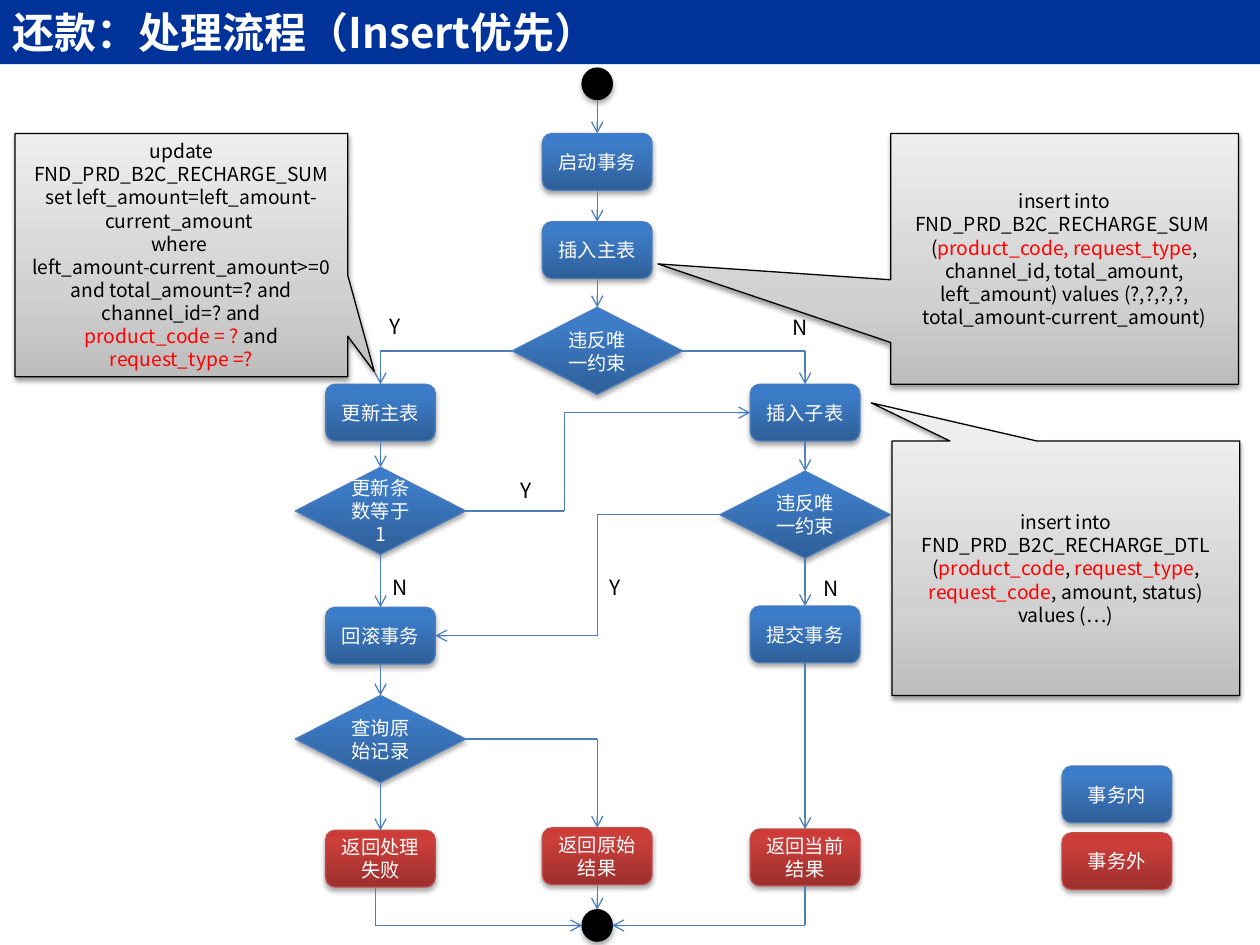
from copy import deepcopy
from dataclasses import dataclass

from lxml import etree
from pptx import Presentation
from pptx.dml.color import RGBColor
from pptx.enum import shapes, text
from pptx.oxml import ns
from pptx.util import Inches, Pt


@dataclass(frozen=True)
class Theme:
    font: str = "Noto Sans CJK SC"
    title_size: int = 24
    label_size: int = 12
    body_size: int = 11
    line_width: float = 0.75
    banner: str = "003399"
    white: str = "FFFFFF"
    black: str = "000000"
    red: str = "FF0000"
    line: str = "4B7EBC"
    red_line: str = "BF4C48"
    inside: tuple = ((0, "2F5F99"), (80, "3D7CC7"), (100, "3A7CCB"))
    outside: tuple = ((0, "9C2F2D"), (80, "CB3E3A"), (100, "CE3B37"))
    note: tuple = ((0, "BDBDBD"), (35, "D1D1D1"), (100, "EEEEEE"))


@dataclass(frozen=True)
class Box:
    left: float
    top: float
    width: float
    height: float

    def inside(self, left, top, width, height):
        return Box(self.left + left, self.top + top, width, height)

    @property
    def emu(self):
        return [Inches(v) for v in (self.left, self.top, self.width, self.height)]

    @property
    def right(self):
        return self.left + self.width

    @property
    def bottom(self):
        return self.top + self.height

    @property
    def center(self):
        return self.left + self.width / 2

    @property
    def middle(self):
        return self.top + self.height / 2


THEME = Theme()
KIND = shapes.MSO_SHAPE


def rgb(color):
    return RGBColor.from_string(color)


def format_run(run, size, color, bold=False):
    run.font.size, run.font.bold, run.font.name = Pt(size), bold, THEME.font
    run.font.color.rgb = rgb(color)
    east_asian = etree.SubElement(run.font._element, ns.qn("a:ea"))
    east_asian.set("typeface", THEME.font)


def fill_gradient(shape, stops):
    shape.fill.gradient()
    shape.fill.gradient_angle = 90
    stop_list = shape._element.spPr.find(".//" + ns.qn("a:gsLst"))
    stop_list.insert(1, deepcopy(stop_list[0]))
    for stop, (position, color) in zip(shape.fill.gradient_stops, stops):
        stop.position = position / 100
        stop.color.rgb = rgb(color)
    for color in stop_list.iter(ns.qn("a:srgbClr")):
        for change in list(color):
            color.remove(change)


def add_shadow(shape, opacity=35, distance=1.8):
    shape.shadow.inherit = False
    effects = shape._element.spPr.find(ns.qn("a:effectLst"))
    shadow = etree.SubElement(effects, ns.qn("a:outerShdw"), blurRad=str(Pt(3.1)),
                              dist=str(Pt(distance)), dir="5400000", rotWithShape="0")
    color = etree.SubElement(shadow, ns.qn("a:srgbClr"), val=THEME.black)
    etree.SubElement(color, ns.qn("a:alpha"), val=str(opacity * 1000))


def add_block(slide, kind, box, line, stops=None):
    shape = slide.shapes.add_shape(kind, *box.emu)
    if stops:
        fill_gradient(shape, stops)
    else:
        shape.fill.solid()
        shape.fill.fore_color.rgb = rgb(THEME.black)
    shape.line.color.rgb = rgb(line)
    shape.line.width = Pt(THEME.line_width)
    shape.text_frame.word_wrap = True
    shape.text_frame.vertical_anchor = text.MSO_ANCHOR.MIDDLE
    return shape


def add_node(slide, kind, box, words="", outside=False):
    if words:
        line, stops = ((THEME.red_line, THEME.outside) if outside
                       else (THEME.line, THEME.inside))
    else:
        line, stops = THEME.black, None
    shape = add_block(slide, kind, box, line, stops)
    add_shadow(shape)
    shape.text_frame.text = words
    paragraph = shape.text_frame.paragraphs[0]
    paragraph.alignment = text.PP_ALIGN.CENTER
    for run in paragraph.runs:
        format_run(run, THEME.body_size, THEME.white)
    return box


def add_path(slide, *points):
    for start, end in zip(points, points[1:]):
        connector = slide.shapes.add_connector(
            shapes.MSO_CONNECTOR.STRAIGHT, *[Inches(v) for v in (*start, *end)])
        connector.line.color.rgb = rgb(THEME.line)
        connector.line.width = Pt(THEME.line_width)
        etree.SubElement(connector._element.spPr, ns.qn("a:effectLst"))
    etree.SubElement(connector.line._get_or_add_ln(), ns.qn("a:tailEnd"), type="arrow")


def add_label(slide, box, words):
    label = slide.shapes.add_textbox(*box.emu)
    label.text_frame.word_wrap = False
    label.text_frame.text = words
    format_run(label.text_frame.paragraphs[0].runs[0], THEME.label_size, THEME.black)


def draw_title(slide, box):
    title = slide.shapes.title
    title.left, title.top, title.width, title.height = box.emu
    title.fill.solid()
    title.fill.fore_color.rgb = rgb(THEME.banner)
    frame = title.text_frame
    frame.text = "还款：处理流程（Insert优先）"
    frame.vertical_anchor = text.MSO_ANCHOR.MIDDLE
    frame.auto_size = text.MSO_AUTO_SIZE.NONE
    frame.paragraphs[0].alignment = text.PP_ALIGN.LEFT
    format_run(frame.paragraphs[0].runs[0], THEME.title_size, THEME.white, True)


def draw_flow(slide, area):
    left, middle, right = 0.68, 2.4, 4.05

    def node(kind, width, height, column, top, words="", outside=False):
        box = area.inside(column - width / 2, top, width, height)
        return add_node(slide, kind, box, words, outside)

    def step(*args):
        return node(KIND.ROUNDED_RECTANGLE, 0.87, 0.45, *args)

    def decision(*args):
        return node(KIND.FLOWCHART_DECISION, 1.35, 0.69, *args)

    def dot(*args):
        return node(KIND.FLOWCHART_CONNECTOR, 0.24, 0.25, *args)

    start = dot(middle, 0)
    begin = step(middle, 0.52, "启动事务")
    insert_main = step(middle, 1.22, "插入主表")
    main_unique = decision(middle, 1.9, "违反唯一约束")
    update_main = step(left, 2.51, "更新主表")
    insert_detail = step(right, 2.51, "插入子表")
    one_updated = decision(left, 3.17, "更新条数等于1")
    detail_unique = decision(right, 3.2, "违反唯一约束")
    rollback = step(left, 4.28, "回滚事务")
    commit = step(right, 4.27, "提交事务")
    query = decision(left, 4.98, "查询原始记录")
    failed = step(left, 6.05, "返回处理失败", True)
    previous = step(middle, 6.03, "返回原始结果", True)
    current = step(right, 6.04, "返回当前结果", True)
    end = dot(middle, 6.68)

    chains = ((start, begin, insert_main, main_unique),
              (update_main, one_updated, rollback, query, failed),
              (insert_detail, detail_unique, commit, current),
              (previous, end))
    for chain in chains:
        for upper, lower in zip(chain, chain[1:]):
            add_path(slide, (upper.center, upper.bottom), (lower.center, lower.top))

    branches = ((main_unique.left, main_unique, update_main),
                (main_unique.right, main_unique, insert_detail),
                (query.right, query, previous))
    for edge, source, target in branches:
        add_path(slide, (edge, source.middle), (target.center, source.middle),
                 (target.center, target.top))

    elbows = ((one_updated.right, one_updated, 2.14, insert_detail.left, insert_detail),
              (detail_unique.left, detail_unique, middle, rollback.right, rollback))
    for edge, source, bend, target_edge, target in elbows:
        turn = area.left + bend
        add_path(slide, (edge, source.middle), (turn, source.middle),
                 (turn, target.middle), (target_edge, target.middle))

    for source, x, edge in ((failed, failed.center - 0.04, end.left),
                            (current, current.center, end.right)):
        add_path(slide, (x, source.bottom), (x, end.middle), (edge, end.middle))

    for words, x, y in (("Y", 0.65, 1.9), ("N", 3.85, 1.91), ("Y", 1.69, 3.2),
                        ("N", 0.68, 3.97), ("Y", 2.4, 3.97), ("N", 4.1, 3.98)):
        add_label(slide, area.inside(x, y, 0.3, 0.3), words)


def draw_callout(slide, box, pointer, paragraphs):
    shape = add_block(slide, KIND.RECTANGULAR_CALLOUT, box, THEME.black, THEME.note)
    add_shadow(shape, 38, 1.6)
    shape.adjustments[0], shape.adjustments[1] = pointer
    frame = shape.text_frame
    for index, parts in enumerate(paragraphs):
        paragraph = frame.add_paragraph() if index else frame.paragraphs[0]
        paragraph.alignment = text.PP_ALIGN.CENTER
        for position, words in enumerate(parts):
            run = paragraph.add_run()
            run.text = words
            format_run(run, THEME.body_size, THEME.red if position % 2 else THEME.black)


def draw_legend(slide, area):
    for index, words in enumerate(("事务内", "事务外")):
        box = area.inside(0, index * 0.53, area.width, 0.45)
        add_node(slide, KIND.ROUNDED_RECTANGLE, box, words, outside=index == 1)


def main():
    presentation = Presentation()
    presentation.slide_width, presentation.slide_height = Inches(10), Inches(7.5)
    slide = presentation.slides.add_slide(presentation.slide_layouts[5])
    draw_title(slide, Box(0, 0, 10, 0.51))
    draw_flow(slide, Box(2.34, 0.54, 4.73, 6.93))
    draw_callout(slide, Box(0.12, 1.06, 2.64, 1.93), (0.58, 0.48), (
        ("update FND_PRD_B2C_RECHARGE_SUM set left_amount=left_amount-current_amount ",),
        ("where ",),
        ("left_amount-current_amount>=0 and total_amount=? and channel_id=? and",),
        ("", "product_code = ? ", "and ", "request_type =?")))
    draw_callout(slide, Box(7.08, 3.5, 2.76, 2.02), (-0.56, -0.65), (
        ("insert into FND_PRD_B2C_RECHARGE_DTL (", "product_code", ", ", "request_type",
         ", ", "request_code", ", amount, status) values (…)"),))
    draw_callout(slide, Box(7.07, 1.06, 2.76, 1.99), (-1.17, 0.02), (
        ("insert into FND_PRD_B2C_RECHARGE_SUM ",),
        ("(", "product_code, request_type", ", channel_id, total_amount, left_amount) "
         "values (?,?,?,?, total_amount-current_amount)")))
    draw_legend(slide, Box(8.43, 6.08, 0.87, 0.98))
    presentation.save("out.pptx")


if __name__ == "__main__":
    main()
